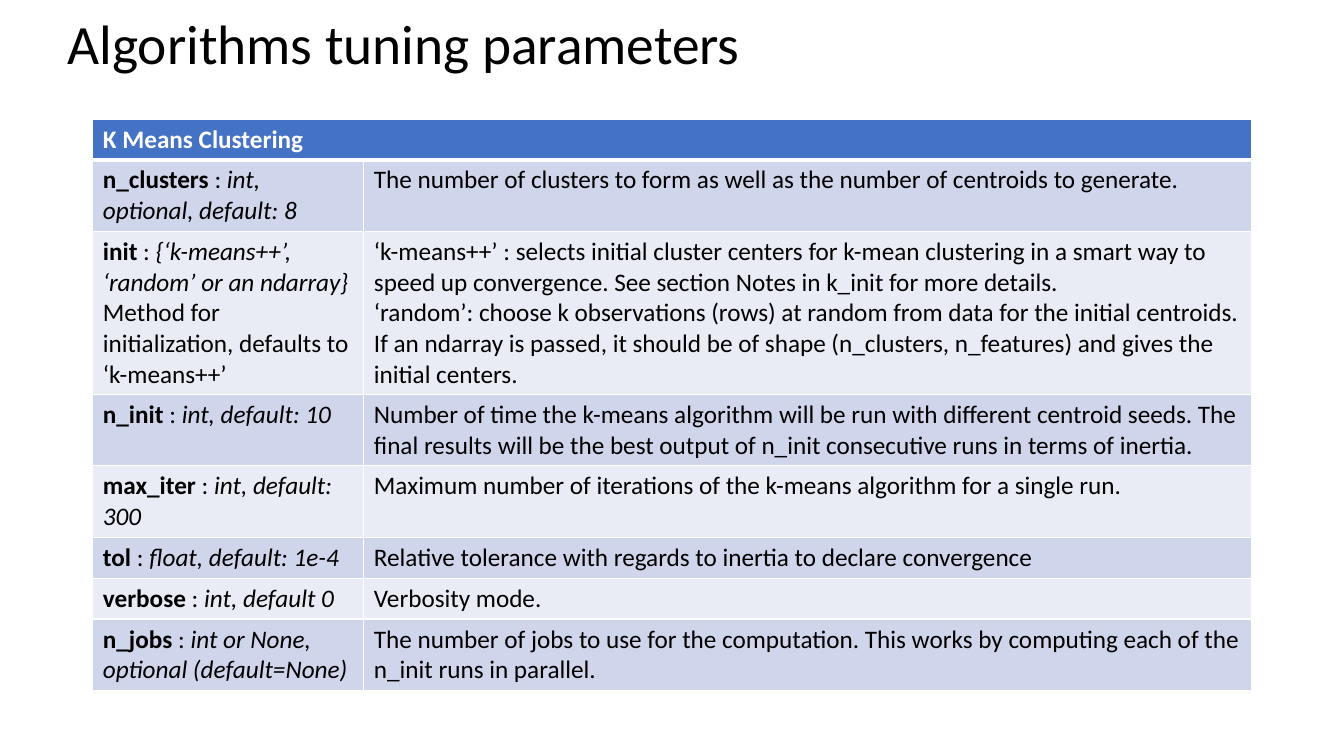
"""Build a slide with a table of K Means tuning parameters."""
from dataclasses import dataclass

from lxml.etree import SubElement
from pptx import Presentation
from pptx.dml.color import RGBColor
from pptx.enum.text import MSO_ANCHOR
from pptx.oxml.ns import qn
from pptx.util import Cm, Pt


@dataclass(frozen=True)
class Theme:
    font: str = "Calibri"
    title_size: float = 39.6
    table_size: float = 18
    ink: str = "000000"
    white: str = "FFFFFF"
    header: str = "4472C4"
    bands: tuple = ("CFD5EA", "E9EBF5")


theme = Theme()


def style_font(font, size, color, bold=None):
    font.name = theme.font
    font.size = Pt(size)
    font.color.rgb = RGBColor.from_string(color)
    font.bold = bold


def style_cell(cell, color, top=1, bottom=1):
    properties = cell._tc.get_or_add_tcPr()
    for side, width in (("L", 1), ("R", 1), ("T", top), ("B", bottom)):
        line = SubElement(properties, qn(f"a:ln{side}"), w=str(Pt(width)))
        fill = SubElement(line, qn("a:solidFill"))
        SubElement(fill, qn("a:srgbClr"), val=theme.white)
    cell.fill.solid()
    cell.fill.fore_color.rgb = RGBColor.from_string(color)


# name, type, extra note, description paragraphs, lines of text
parameters = [
    ("n_clusters", "int, optional, default: 8", "",
     ["The number of clusters to form as well as the number of centroids to generate."], 2),
    ("init", "{‘k-means++’, ‘random’ or an ndarray}",
     "Method for initialization, defaults to ‘k-means++’",
     ["‘k-means++’ : selects initial cluster centers for k-mean clustering in a smart way to "
      "speed up convergence. See section Notes in k_init for more details.",
      "‘random’: choose k observations (rows) at random from data for the initial centroids.",
      "If an ndarray is passed, it should be of shape (n_clusters, n_features) and gives the "
      "initial centers."], 5),
    ("n_init", "int, default: 10", "",
     ["Number of time the k-means algorithm will be run with different centroid seeds. The "
      "final results will be the best output of n_init consecutive runs in terms of inertia."], 2),
    ("max_iter", "int, default: 300", "",
     ["Maximum number of iterations of the k-means algorithm for a single run."], 2),
    ("tol", "float, default: 1e-4", "",
     ["Relative tolerance with regards to inertia to declare convergence"], 1),
    ("verbose", "int, default 0", "", ["Verbosity mode."], 1),
    ("n_jobs", "int or None, optional (default=None)", "",
     ["The number of jobs to use for the computation. This works by computing each of the "
      "n_init runs in parallel."], 2),
]

deck = Presentation()
deck.slide_width, deck.slide_height = Cm(33.87), Cm(19.05)
page = deck.slides.add_slide(deck.slide_layouts[6])

title = page.shapes.add_textbox(Cm(1.45), Cm(0.66), Cm(29.21), Cm(1.02)).text_frame
title.word_wrap = True
title.vertical_anchor = MSO_ANCHOR.MIDDLE
para = title.paragraphs[0]
para.text = "Algorithms tuning parameters"
para.line_spacing = 0.9
style_font(para.font, theme.title_size, theme.ink)

line_height, cell_padding = 0.77, 0.26
line_counts = [1] + [parameter[-1] for parameter in parameters]
row_heights = [count * line_height + cell_padding for count in line_counts]
table = page.shapes.add_table(
    len(row_heights), 2, Cm(2.34), Cm(3), Cm(29.21), Cm(sum(row_heights))).table
table.horz_banding = False
for column, width in zip(table.columns, (6.83, 22.38)):
    column.width = Cm(width)
for row, height in zip(table.rows, row_heights):
    row.height = Cm(height)

heading = table.cell(0, 0)
heading.merge(table.cell(0, 1))
for cell in table.rows[0].cells:
    style_cell(cell, theme.header, bottom=3)
para = heading.text_frame.paragraphs[0]
para.text = "K Means Clustering"
style_font(para.font, theme.table_size, theme.white, bold=True)

for index, (name, kind, note, description, _) in enumerate(parameters):
    name_cell, text_cell = table.rows[index + 1].cells
    for cell in (name_cell, text_cell):
        style_cell(cell, theme.bands[index % 2], top=1 if index else 3)

    para = name_cell.text_frame.paragraphs[0]
    style_font(para.font, theme.table_size, theme.ink)
    for text, bold, italic in ((name, True, False), (" : ", False, False), (kind, False, True)):
        span = para.add_run()
        span.text = text
        span.font.bold, span.font.italic = bold, italic
    if note:
        para.add_line_break()
        para.add_run().text = note

    text_cell.text_frame.text = "\n".join(description)
    for para in text_cell.text_frame.paragraphs:
        style_font(para.font, theme.table_size, theme.ink)

deck.save("out.pptx")
